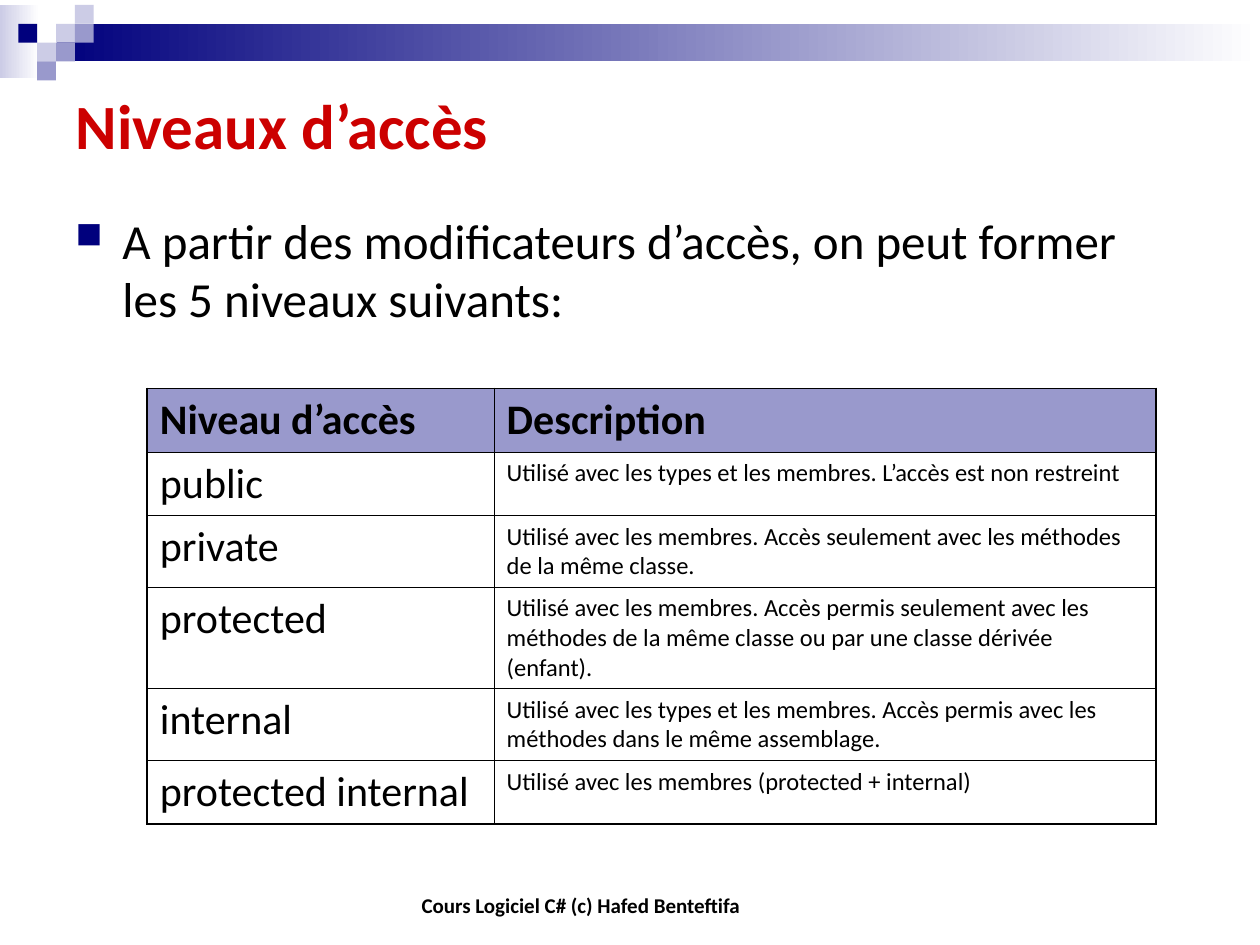
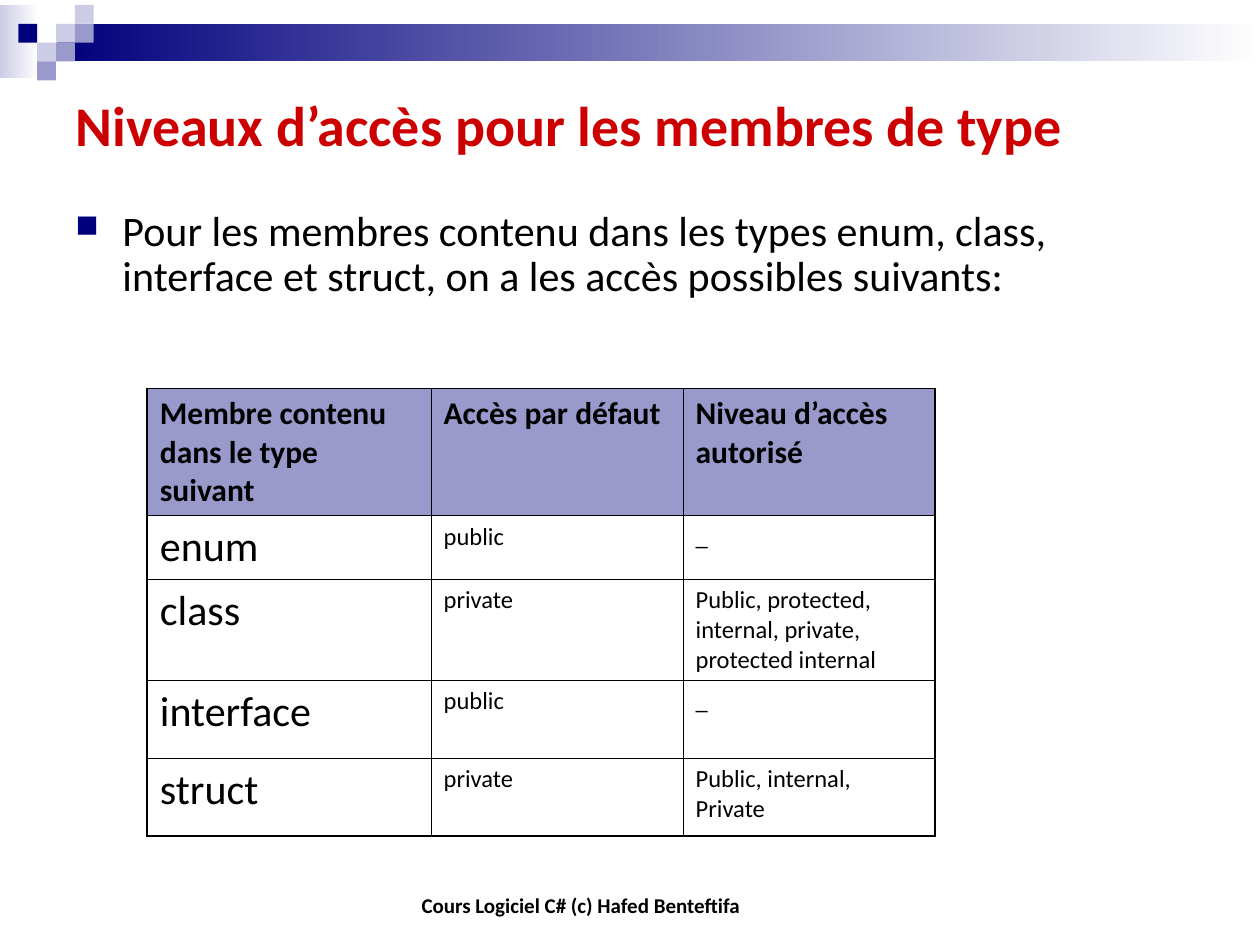
from lxml.etree import SubElement as Sub, Element as Elem
from pptx import Presentation
from pptx.dml.color import RGBColor
from pptx.enum.shapes import MSO_SHAPE as SHAPE
from pptx.enum.text import MSO_ANCHOR as ANCHOR, MSO_AUTO_SIZE as AUTO, PP_ALIGN as ALIGN
from pptx.oxml.ns import qn
from pptx.util import Cm, Pt

FONT = "Calibri"
NAVY, LILAC, PALE, WHITE = "00007D", "9999CC", "CCCCE6", "FFFFFF"
RED, BLACK = "CC0000", "000000"
TITLE = (1.27, 1.32, 22.86, 2.36)
FOOT = (5.31, 17.35, 12.8, 1.27)
STEP = 0.38
TILES = [(2, 1, PALE), (3, 0, PALE), (3, 1, LILAC), (1, 2, PALE),
         (0, 1, NAVY), (2, 2, LILAC), (1, 3, LILAC)]


def rgb(code):
    """Turn a hex string into a colour."""
    return RGBColor.from_string(code)


def put(part, box):
    """Move a part to a box given in centimetres."""
    part.left, part.top, part.width, part.height = map(Cm, box)


def write(frame, text, size, color=BLACK, bold=False, before=0):
    """Fill a frame with one formatted paragraph and return it."""
    frame.text = text
    frame.word_wrap = True
    para = frame.paragraphs[0]
    para.space_before = Pt(before)
    font = para.runs[0].font
    font.name, font.size, font.bold = FONT, Pt(size), bold
    font.color.rgb = rgb(color)
    return para


def rect(slide, box, *colors):
    """Draw a plain rectangle, shaded from left to right if it has two colours."""
    shape = slide.shapes.add_shape(SHAPE.RECTANGLE, *map(Cm, box))
    shape.shadow.inherit = False
    shape.line.fill.background()
    if len(colors) == 1:
        shape.fill.solid()
        shape.fill.fore_color.rgb = rgb(colors[0])
        return
    shape.fill.gradient()
    shape.fill.gradient_angle = 0
    for stop, color in zip(shape.fill.gradient_stops, colors):
        stop.color.rgb = rgb(color)


def band(slide, left, top, width):
    """Draw the shaded bands and the mosaic of small squares."""
    rect(slide, (left, top, 0.79, 1.48), PALE, WHITE)
    rect(slide, (left + 1.14, top + STEP, width - 1.14, 2 * STEP), NAVY, WHITE)
    for col, row, color in TILES:
        box = (left + 0.37 + col * STEP, top + row * STEP, STEP, STEP)
        rect(slide, box, color)


def head(slide, box, text, size):
    """Place and format the title."""
    title = slide.shapes.title
    put(title, box)
    frame = title.text_frame
    write(frame, text, size, RED, True).alignment = ALIGN.LEFT
    frame.auto_size = AUTO.NONE
    frame.vertical_anchor = ANCHOR.MIDDLE


def point(slide, box, text, size, before, line):
    """Add a paragraph with a square bullet."""
    frame = slide.shapes.add_textbox(*map(Cm, box)).text_frame
    para = write(frame, text, size, before=before)
    para.line_spacing = line
    props = para._p.get_or_add_pPr()
    props.set("marL", str(Cm(0.95)))
    props.set("indent", str(-Cm(0.95)))
    Sub(Sub(props, qn("a:buClr")), qn("a:srgbClr"), val=NAVY)
    Sub(props, qn("a:buSzPct"), val="75000")
    Sub(props, qn("a:buChar"), char="■")


def foot(slide, box):
    """Add the course line at the bottom."""
    frame = slide.shapes.add_textbox(*map(Cm, box)).text_frame
    text = "Cours Logiciel C# (c) Hafed Benteftifa"
    write(frame, text, 12, bold=True).alignment = ALIGN.CENTER
    frame.vertical_anchor = ANCHOR.BOTTOM


def edge(cell, outer):
    """Draw the four borders of a cell, thicker on the outer sides."""
    props = cell._tc.get_or_add_tcPr()
    for spot, (side, thick) in enumerate(zip("LRTB", outer)):
        line = Elem(qn("a:ln" + side), w=str(Pt(1.08 if thick else 0.45)))
        Sub(Sub(line, qn("a:solidFill")), qn("a:srgbClr"), val=BLACK)
        props.insert(spot, line)


def grid(slide, left, top, cols, rows, data, size):
    """Add a table with a tinted first row and large names in the first column."""
    box = (left, top, sum(cols), sum(rows))
    table = slide.shapes.add_table(len(rows), len(cols), *map(Cm, box)).table
    table.first_row = table.horz_banding = False
    for col, width in zip(table.columns, cols):
        col.width = Cm(width)
    for row, height in zip(table.rows, rows):
        row.height = Cm(height)
    for r, line in enumerate(data):
        for c, text in enumerate(line):
            cell = table.cell(r, c)
            points = size if r == 0 else 24 if c == 0 else 14
            write(cell.text_frame, text, points, bold=r == 0, before=points / 4)
            if r == 0:
                cell.fill.solid()
                cell.fill.fore_color.rgb = rgb(LILAC)
            else:
                cell.fill.background()
            edge(cell, (c == 0, c == len(cols) - 1, r == 0, r == len(rows) - 1))


def page(deck, title, size):
    """Add a slide with the parts that all slides share."""
    slide = deck.slides.add_slide(deck.slide_layouts[5])
    band(slide, 0, 0.1, 25.4)
    head(slide, TITLE, title, size)
    foot(slide, FOOT)
    return slide


def levels(deck):
    """Build the slide on the five access levels."""
    slide = page(deck, "Niveaux d’accès", 36)
    text = "A partir des modificateurs d’accès, on peut former les 5 niveaux suivants:"
    point(slide, (1.27, 4.11, 21.79, 3.28), text, 28, 7, 1)
    data = [
        ("Niveau d’accès", "Description"),
        ("public", "Utilisé avec les types et les membres. L’accès est non restreint"),
        ("private", "Utilisé avec les membres. Accès seulement avec les méthodes "
                    "de la même classe."),
        ("protected", "Utilisé avec les membres. Accès permis seulement avec les "
                      "méthodes de la même classe ou par une classe dérivée (enfant)."),
        ("internal", "Utilisé avec les types et les membres. Accès permis avec les "
                     "méthodes dans le même assemblage."),
        ("protected internal", "Utilisé avec les membres (protected + internal)"),
    ]
    rows = (1.28, 1.28, 1.45, 2.04, 1.45, 1.28)
    grid(slide, 2.97, 7.83, (6.99, 13.34), rows, data, 24)


def members(deck):
    """Build the slide on the access levels of type members."""
    slide = page(deck, "Niveaux d’accès pour les membres de type", 32)
    text = ("Pour les membres contenu dans les types enum, class, interface et struct, "
            "on a les accès possibles suivants:")
    point(slide, (1.27, 4.11, 21.79, 2.24), text, 24, 6, 0.9)
    data = [
        ("Membre contenu dans le type suivant", "Accès par défaut",
         "Niveau d’accès autorisé"),
        ("enum", "public", "_"),
        ("class", "private", "Public, protected, internal, private, protected internal"),
        ("interface", "public", "_"),
        ("struct", "private", "Public, internal, Private"),
    ]
    rows = (2.56, 1.28, 2.04, 1.57, 1.57)
    grid(slide, 2.97, 7.83, (5.72, 5.08, 5.08), rows, data, 18)


def main():
    """Build and save the deck."""
    deck = Presentation()
    deck.slide_width, deck.slide_height = Cm(25.4), Cm(19.05)
    levels(deck)
    members(deck)
    deck.save("out.pptx")


if __name__ == "__main__":
    main()
